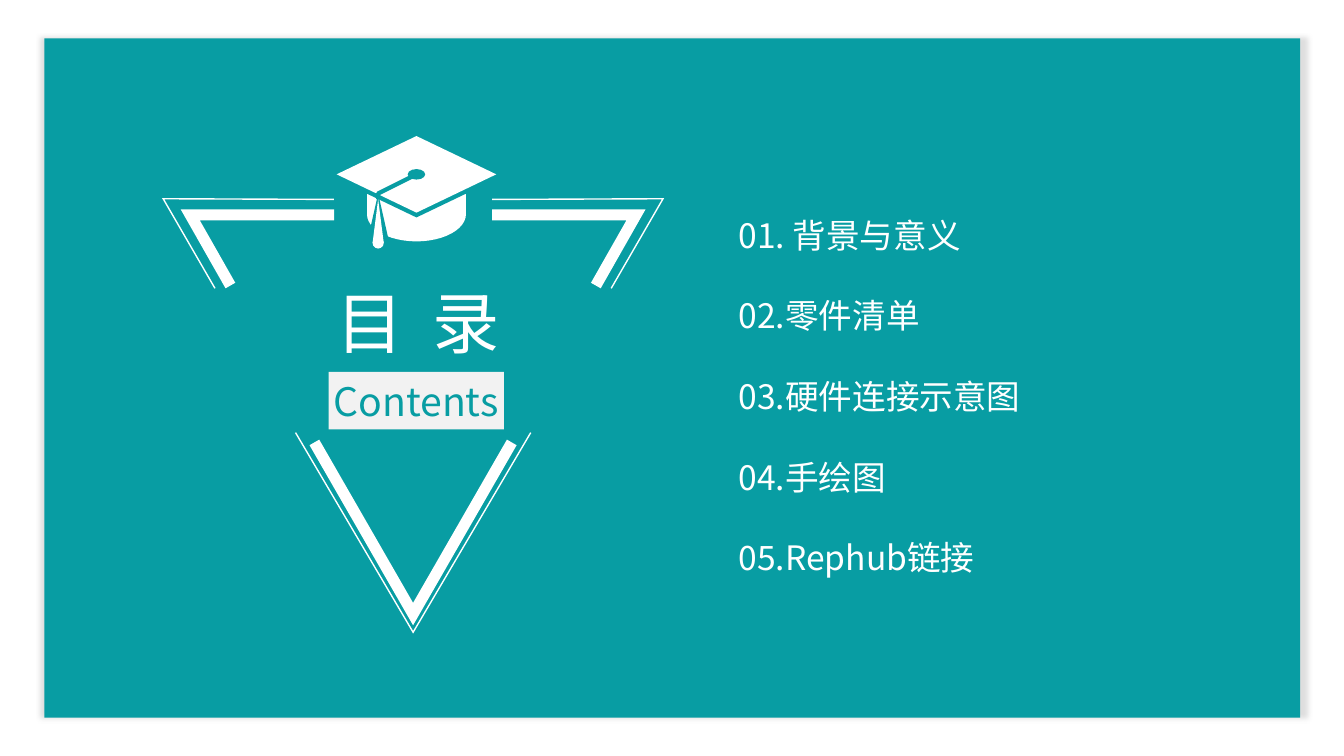
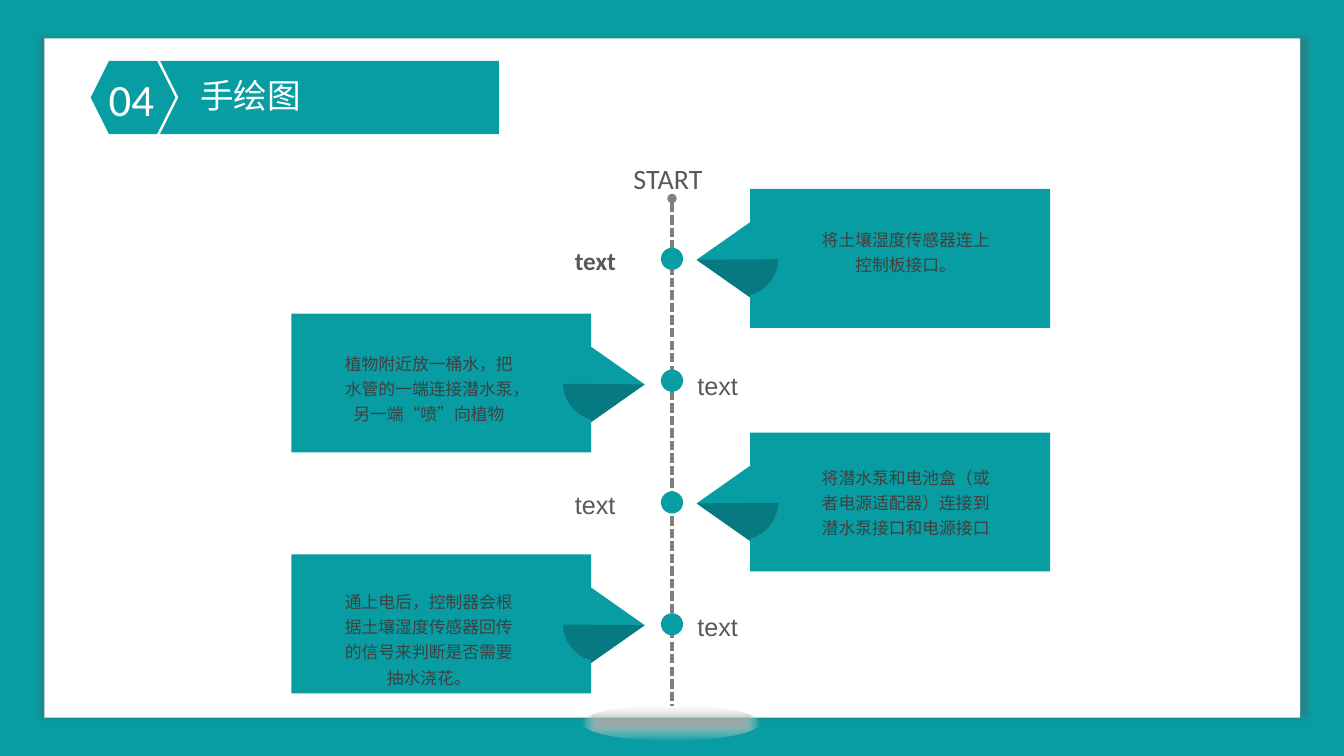
import math

import pptx
import pptx.dml.color
import pptx.enum.dml
import pptx.enum.shapes
import pptx.enum.text
import pptx.oxml
import pptx.util

Pt = pptx.util.Pt
SHAPE = pptx.enum.shapes.MSO_SHAPE
ALIGN = pptx.enum.text.PP_ALIGN
ANCHOR = pptx.enum.text.MSO_ANCHOR

TEAL, DARK_TEAL, WHITE, PALE = "089DA3", "067A80", "FFFFFF", "F2F2F2"
GREY, LABEL_GREY, BODY_GREY = "808080", "595959", "404040"
CJK = "Noto Sans CJK SC"
NS = 'xmlns:a="http://schemas.openxmlformats.org/drawingml/2006/main"'
FRAME = (31.7, 27.4, 897, 485.3)

CHAPTERS = ["01. 背景与意义", "02.零件清单", "03.硬件连接示意图", "04.手绘图", "05.Rephub链接"]

# Per step: top of the card, top of its text, text.
STEPS = [
    (135, 157, "将土壤湿度传感器连上控制板接口。"),
    (224, 245.5, "植物附近放一桶水，把水管的一端连接潜水泵，另一端“喷”向植物"),
    (309, 327, "将潜水泵和电池盒（或者电源适配器）连接到潜水泵接口和电源接口"),
    (396, 415.5, "通上电后，控制器会根据土壤湿度传感器回传的信号来判断是否需要抽水浇花。"),
]


def rgb(value):
    return pptx.dml.color.RGBColor.from_string(value)


def add_xml(parent, xml):
    """Append an a: element, given as text without its namespace."""
    tag, rest = xml[1:].split(" ", 1)
    parent.append(pptx.oxml.parse_xml(f"<{tag} {NS} {rest}"))


def paint(shape, fill=None, line=None, weight=1):
    shape.shadow.inherit = False
    if fill:
        shape.fill.solid()
        shape.fill.fore_color.rgb = rgb(fill)
    else:
        shape.fill.background()
    if line:
        shape.line.color.rgb = rgb(line)
        shape.line.width = Pt(weight)
    else:
        shape.line.fill.background()
    return shape


def preset(slide, kind, box, fill):
    return paint(slide.shapes.add_shape(kind, *map(Pt, box)), fill)


def outline(slide, points, close=True, **style):
    start, *rest = [(Pt(x), Pt(y)) for x, y in points]
    builder = slide.shapes.build_freeform(*start)
    builder.add_line_segments(rest, close=close)
    return paint(builder.convert_to_shape(), **style)


def arc(x, y, rx, ry, start, end, steps=24):
    """List points on an ellipse about x, y between two angles in radians."""
    angles = [start + (end - start) * i / steps for i in range(steps + 1)]
    return [(x + rx * math.cos(a), y + ry * math.sin(a)) for a in angles]


def write(shape, text, size, color, font=CJK, align=ALIGN.LEFT, anchor=ANCHOR.MIDDLE,
          spacing=None, bold=False, wrap=True):
    frame = shape.text_frame
    frame.text = text
    frame.word_wrap = wrap
    frame.vertical_anchor = anchor
    for paragraph in frame.paragraphs:
        paragraph.alignment = align
        if spacing:
            paragraph.line_spacing = spacing
        for run in paragraph.runs:
            run.font.size, run.font.name, run.font.bold = Pt(size), font, bold
            run.font.color.rgb = rgb(color)
            add_xml(run.font._element, f'<a:ea typeface="{CJK}"/>')
    return shape


def textbox(slide, box, *args, **style):
    return write(slide.shapes.add_textbox(*map(Pt, box)), *args, **style)


def framed_slide(deck, background, panel, shadow):
    """Add a slide whose large panel casts a soft shadow on the background."""
    slide = deck.slides.add_slide(deck.slide_layouts[6])
    slide.background.fill.solid()
    slide.background.fill.fore_color.rgb = rgb(background)
    board = preset(slide, SHAPE.RECTANGLE, FRAME, panel)
    effects = board._element.spPr.find(pptx.oxml.ns.qn("a:effectLst"))
    add_xml(effects, f'<a:outerShdw blurRad="{Pt(4)}" dist="{Pt(2)}" dir="0" sx="101000" '
                     f'sy="100000" algn="ctr" rotWithShape="0"><a:srgbClr val="{shadow}">'
                     '<a:alpha val="36000"/></a:srgbClr></a:outerShdw>')
    return slide


def graduation_cap(slide, left, top, width):
    """Draw bowl, board, button and tassel; teal parts cut the gaps between them."""
    half, rise = width / 2, width * 0.24
    x, y = left + half, top + rise
    bowl, button = width * 0.31, width * 0.055
    outline(slide, [(x + bowl, y)] + arc(x, top + width * 0.49, bowl, width * 0.17, 0, math.pi)
            + [(x - bowl, y)], fill=WHITE)
    for drop, color in ((width * 0.03, TEAL), (0, WHITE)):
        preset(slide, SHAPE.DIAMOND, (left, top + drop, width, 2 * rise), color)
    preset(slide, SHAPE.OVAL, (x - button, y - button * 0.6, 2 * button, 1.2 * button), TEAL)

    knot_x, knot_y, end_y = x - width * 0.24, y + width * 0.12, top + width * 0.67
    outline(slide, [(x, y), (knot_x, knot_y), (knot_x, knot_y + 4)],
            close=False, line=TEAL, weight=3)
    for peak, spread, color in ((knot_y, 8, TEAL), (knot_y + 4, 4, WHITE)):
        outline(slide, [(knot_x, peak), (knot_x + spread, end_y), (knot_x - spread, end_y)],
                fill=color)
    preset(slide, SHAPE.OVAL, (knot_x - 4, end_y - 4, 8, 8), WHITE)


def triangle_emblem(slide, left, top, width):
    """Draw a broken triangle, once thin and once thick, mirrored about its middle."""
    middle = width / 2
    for weight, corner, arm, tip in [
        (1, [(37, 64), (0, 0), (122, 0.5)], (94.5, 167), 309.6),
        (8, [(48, 62), (19.3, 11.5), (122, 11.5)], (108, 174), 296.6),
    ]:
        mirrored = [(width - x, y) for x, y in corner]
        vee = [arm, (middle, tip), (width - arm[0], arm[1])]
        for points in (corner, mirrored, vee):
            stroke = outline(slide, [(left + x, top + y) for x, y in points],
                             close=False, line=WHITE, weight=weight)
            add_xml(stroke.line._get_or_add_ln(), '<a:miter lim="800000"/>')


def contents_slide(deck):
    slide = framed_slide(deck, WHITE, TEAL, "A6A6A6")
    triangle_emblem(slide, 116.6, 142, 357)
    graduation_cap(slide, 240.5, 97.2, 114)
    textbox(slide, (520.5, 121, 332.6, 298), "\n".join(CHAPTERS), 24, WHITE,
            anchor=ANCHOR.TOP, spacing=Pt(57.6))
    heading = textbox(slide, (219, 197.3, 159, 65.5), "目 录", 48, WHITE, align=ALIGN.CENTER)
    heading.text_frame.paragraphs[0].runs[0].font._element.set("spc", "500")
    tag = preset(slide, SHAPE.RECTANGLE, (234.7, 265.7, 125.3, 41), PALE)
    write(tag, "Contents", 28, TEAL, align=ALIGN.CENTER, wrap=False)


def section_title(slide, left, top, number, title):
    height, right, notch = 52.4, left + 291.6, left + 62.6
    start, bottom = notch - height / 4, top + height
    outline(slide, [(start, top), (right, top), (right, bottom), (start, bottom),
                    (notch, top + height / 2)], fill=TEAL)
    preset(slide, SHAPE.HEXAGON, (left, top, 60.5, height), TEAL)
    textbox(slide, (left - 2.2, top + 3.8, 62.6, 46), number, 32, WHITE,
            font="Calibri", align=ALIGN.CENTER)
    textbox(slide, (left + 71.3, top + 6.5, 390, 36), title, 24, WHITE)


def timeline_axis(slide, x, top, bottom):
    axis = slide.shapes.add_connector(pptx.enum.shapes.MSO_CONNECTOR.STRAIGHT,
                                      *map(Pt, (x, top, x, bottom)))
    axis.line.color.rgb = rgb(GREY)
    axis.line.width = Pt(2.25)
    axis.line.dash_style = pptx.enum.dml.MSO_LINE.SQUARE_DOT
    add_xml(axis.line._get_or_add_ln(), '<a:headEnd type="oval"/>')
    add_xml(axis._element.spPr, "<a:effectLst />")

    base = preset(slide, SHAPE.OVAL, (x - 64, bottom, 126.7, 25.2), GREY)
    solid = base._element.spPr.find(pptx.oxml.ns.qn("a:solidFill"))
    solid.addprevious(pptx.oxml.parse_xml(
        f'<a:gradFill {NS}><a:gsLst><a:gs pos="0"><a:srgbClr val="A5A5A5"/></a:gs>'
        '<a:gs pos="100000"><a:srgbClr val="E7E6E6"><a:alpha val="0"/></a:srgbClr></a:gs>'
        '</a:gsLst><a:path path="shape"><a:fillToRect l="50000" t="50000" r="50000" '
        'b="50000"/></a:path></a:gradFill>'))
    solid.getparent().remove(solid)
    textbox(slide, (x - 34.6, top - 28.8, 74, 28.8), "START", 20, LABEL_GREY,
            font="Calibri", wrap=False)


def step_card(slide, edge, side, top):
    """Draw a notched card growing from edge towards side (1 right, -1 left)."""
    width, height, half_notch, depth = 214.2, 99.2, 26.2, 20.2
    middle = top + height / 2
    tip, back, half_pointer = edge - side * 38.2, edge + side * 26.8, 45.7
    for upper, color in ((half_pointer, TEAL), (0.5, DARK_TEAL)):
        outline(slide, [(tip, middle + 1), (back, middle + 1 - upper),
                        (back, middle + 1 + half_pointer)], fill=color)

    radius = (half_notch ** 2 + depth ** 2) / (2 * depth)
    sweep = math.asin(half_notch / radius)
    notch = arc(edge + side * (depth - radius), middle, side * radius, radius, sweep, -sweep)
    far, bottom = edge + side * width, top + height
    outline(slide, [(edge, top), (far, top), (far, bottom), (edge, bottom)] + notch, fill=TEAL)


def drawing_slide(deck):
    slide = framed_slide(deck, TEAL, WHITE, "595959")
    section_title(slide, 64.8, 43.4, "04", "手绘图")
    axis_x, dot = 480, 15.8
    timeline_axis(slide, axis_x, 141.8, 504)
    for i, (top, text_top, body) in enumerate(STEPS):
        edge, side, text_x, label_x = (422.3, -1, 237.6, 491) if i % 2 else (535.8, 1, 578.2, 403.5)
        step_card(slide, edge, side, top)
        preset(slide, SHAPE.OVAL, (axis_x - dot / 2, 177 + i * 87, dot, dot), TEAL)
        textbox(slide, (label_x, top + 30.5, 71.3, 30.5), "text", 18, LABEL_GREY,
                font="Arial" if i else "Calibri", anchor=ANCHOR.TOP, spacing=1.3, bold=i == 0)
        textbox(slide, (text_x, text_top, 137.5, 80), body, 12, BODY_GREY,
                align=ALIGN.CENTER, anchor=ANCHOR.TOP, spacing=Pt(18))


def main():
    deck = pptx.Presentation()
    deck.slide_width, deck.slide_height = Pt(960), Pt(540)
    contents_slide(deck)
    drawing_slide(deck)
    deck.save("out.pptx")


if __name__ == "__main__":
    main()
